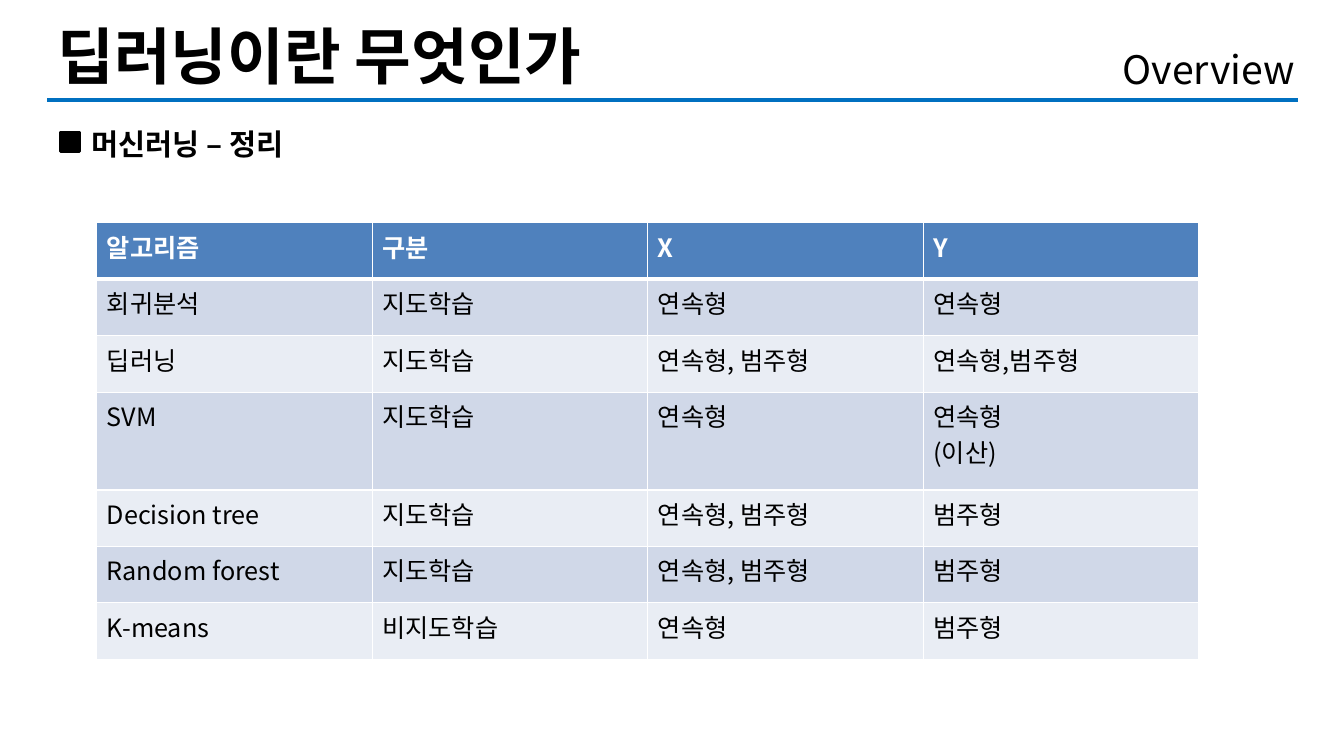
import pptx
import pptx.util
import pptx.dml.color
import pptx.enum.shapes
import pptx.enum.text
import pptx.oxml.ns
import lxml.etree

WIDE, HIGH = pptx.util.Inches(13.33), pptx.util.Inches(7.5)
FONT = "Noto Sans CJK KR"
HUES = {
    "ink": "000000",
    "white": "FFFFFF",
    "rule": "0070C0",
    "head": "4F81BD",
    "odd": "D0D8E8",
    "even": "E9EDF4",
}
ROWS = [
    ["알고리즘", "구분", "X", "Y"],
    ["회귀분석", "지도학습", "연속형", "연속형"],
    ["딥러닝", "지도학습", "연속형, 범주형", "연속형,범주형"],
    ["SVM", "지도학습", "연속형", "연속형\n(이산)"],
    ["Decision tree", "지도학습", "연속형, 범주형", "범주형"],
    ["Random forest", "지도학습", "연속형, 범주형", "범주형"],
    ["K-means", "비지도학습", "연속형", "범주형"],
]
ROW, TALL = 7.47, 12.93


def across(share):
    """Percent of the slide's width."""
    return round(WIDE * share / 100)


def down(share):
    """Percent of the slide's height."""
    return round(HIGH * share / 100)


def area(left, top, width, height):
    return across(left), down(top), across(width), down(height)


def hue(name):
    return pptx.dml.color.RGBColor.from_string(HUES[name])


def child(node, tag, **attrs):
    return lxml.etree.SubElement(node, pptx.oxml.ns.qn(tag), attrs)


def write(frame, text, size, bold=False, color="ink"):
    """Put each line of text in its own paragraph."""
    for i, line in enumerate(text.split("\n")):
        para = frame.add_paragraph() if i else frame.paragraphs[0]
        run = para.add_run()
        run.text = line
        font = run.font
        font.size = pptx.util.Pt(size)
        font.bold = bold
        font.name = FONT
        font.color.rgb = hue(color)
        child(font._element, "a:ea", typeface=FONT)


def label(slide, box, text, size, bold=False):
    frame = slide.shapes.add_textbox(*area(*box)).text_frame
    frame.word_wrap = True
    frame.vertical_anchor = pptx.enum.text.MSO_ANCHOR.MIDDLE
    write(frame, text, size, bold)


def rule(slide, left, right, top):
    line = slide.shapes.add_connector(
        pptx.enum.shapes.MSO_CONNECTOR.STRAIGHT,
        across(left), down(top), across(right), down(top))
    line.line.color.rgb = hue("rule")
    line.line.width = pptx.util.Pt(3)
    child(line._element.spPr, "a:effectLst")


def bullet(slide, box):
    mark = slide.shapes.add_shape(
        pptx.enum.shapes.MSO_SHAPE.RECTANGLE, *area(*box))
    mark.shadow.inherit = False
    mark.fill.solid()
    mark.fill.fore_color.rgb = hue("ink")
    mark.line.color.rgb = hue("ink")
    mark.line.width = pptx.util.Pt(2)


def border(cell, widths):
    """Draw white edges, with widths in points for each side."""
    props = cell._tc.get_or_add_tcPr()
    for side, width in widths.items():
        edge = child(props, "a:ln" + side, w=str(pptx.util.Pt(width)))
        fill = child(edge, "a:solidFill")
        child(fill, "a:srgbClr", val=HUES["white"])


def grid(slide, left, top, width):
    tall = [TALL if any("\n" in text for text in row) else ROW for row in ROWS]
    table = slide.shapes.add_table(
        len(ROWS), len(ROWS[0]), *area(left, top, width, sum(tall))).table
    for r, row in enumerate(ROWS):
        table.rows[r].height = down(tall[r])
        head = r == 0
        shade = "head" if head else "odd" if r % 2 else "even"
        for c, text in enumerate(row):
            cell = table.cell(r, c)
            border(cell, {"L": 1, "R": 1, "T": 3 if r == 1 else 1,
                          "B": 3 if head else 1})
            cell.fill.solid()
            cell.fill.fore_color.rgb = hue(shade)
            write(cell.text_frame, text, 18, head, "white" if head else "ink")


def main():
    deck = pptx.Presentation()
    deck.slide_width, deck.slide_height = WIDE, HIGH
    slide = deck.slides.add_slide(deck.slide_layouts[6])
    rule(slide, 3.53, 96.55, 13.2)
    label(slide, (3.53, 1.6, 65.34, 11.2), "딥러닝이란 무엇인가", 44, True)
    label(slide, (82.82, 5.33, 15.3, 7.6), "Overview", 28)
    label(slide, (6.08, 16, 85.3, 6), "머신러닝 – 정리", 21, True)
    bullet(slide, (4.5, 17.47, 1.43, 2.53))
    grid(slide, 7.2, 29.47, 82)
    deck.save("out.pptx")


if __name__ == "__main__":
    main()
